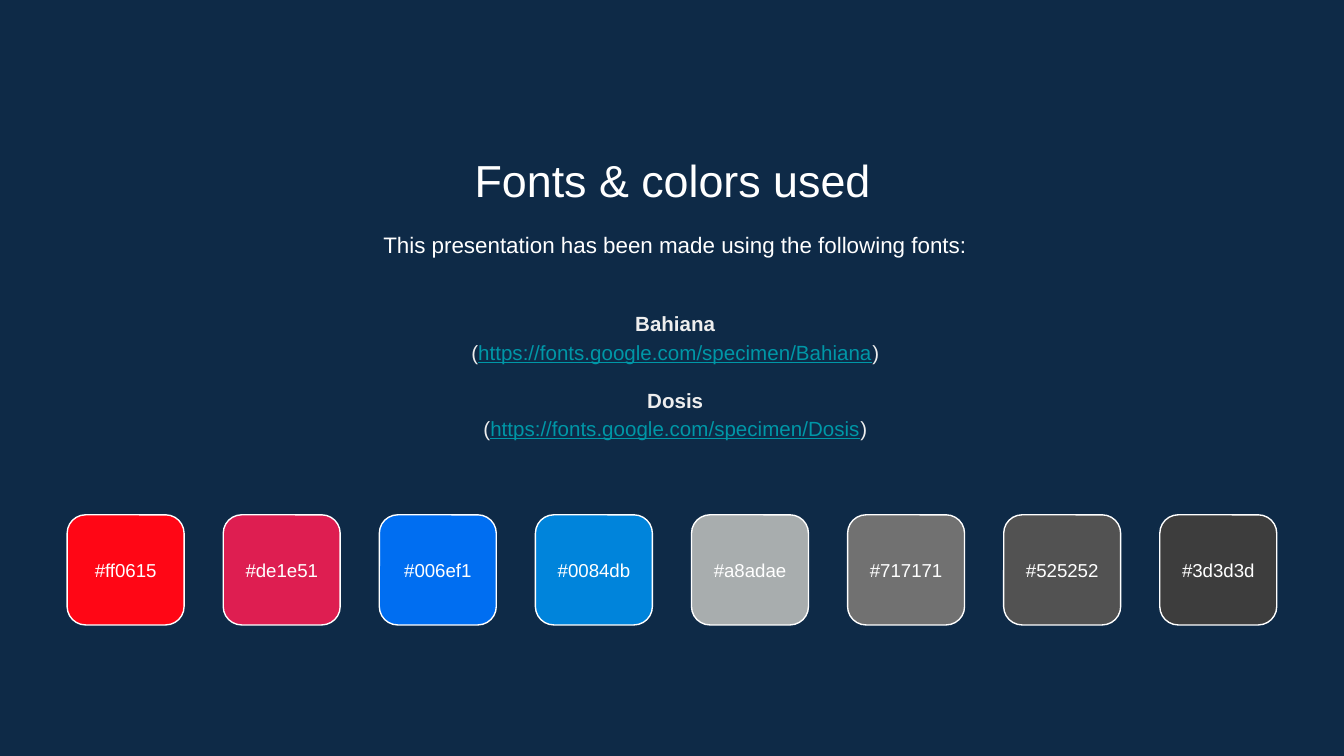
from dataclasses import dataclass

import pptx
import pptx.dml.color
import pptx.enum.shapes
import pptx.enum.text
import pptx.util

Pt = pptx.util.Pt
ANCHOR = pptx.enum.text.MSO_ANCHOR

SLIDE_WIDTH, SLIDE_HEIGHT = 720, 405
FONT = "Arial"
NAVY, WHITE, PALE, TEAL = "0E2A47", "FFFFFF", "EEEEEE", "0097A7"

# Swatch row: equal gaps between the side margins
SWATCHES = ["ff0615", "de1e51", "006ef1", "0084db",
            "a8adae", "717171", "525252", "3d3d3d"]
MARGIN = 36
SWATCH_WIDTH, SWATCH_HEIGHT, SWATCH_TOP = 62.64, 59, 275.8
LABEL_HEIGHT = 34.56
PITCH = (SLIDE_WIDTH - 2 * MARGIN - SWATCH_WIDTH) / (len(SWATCHES) - 1)


@dataclass
class Span:
    text: str
    size: float
    color: str = WHITE
    bold: bool = False
    underline: bool = False


@dataclass
class Line:
    spans: list[Span]
    spacing: float = 1.0
    before: float = 0


@dataclass
class Area:
    left: float
    top: float
    width: float
    height: float

    def lengths(self) -> list[pptx.util.Length]:
        return [Pt(value) for value in (self.left, self.top, self.width, self.height)]


def rgb(color: str) -> pptx.dml.color.RGBColor:
    return pptx.dml.color.RGBColor.from_string(color.upper())


def add_text(page, area: Area, lines: list[Line], anchor=ANCHOR.TOP) -> None:
    frame = page.shapes.add_textbox(*area.lengths()).text_frame
    frame.word_wrap = True
    frame.vertical_anchor = anchor
    frame.margin_left = frame.margin_right = Pt(7.2)
    frame.margin_top = frame.margin_bottom = Pt(7.2)
    for index, line in enumerate(lines):
        para = frame.add_paragraph() if index else frame.paragraphs[0]
        para.alignment = pptx.enum.text.PP_ALIGN.CENTER
        para.line_spacing = line.spacing
        para.space_before = Pt(line.before)
        for span in line.spans:
            run = para.add_run()
            run.text = span.text
            run.font.name = FONT
            run.font.size = Pt(span.size)
            run.font.bold = span.bold
            run.font.underline = span.underline
            run.font.color.rgb = rgb(span.color)


def font_lines(name: str, before: float = 0) -> list[Line]:
    address = f"https://fonts.google.com/specimen/{name}"
    return [
        Line([Span(name, 11, PALE, bold=True)], 1.15, before),
        Line([Span("(", 11, PALE), Span(address, 11, TEAL, underline=True),
              Span(")", 11, PALE)], 1.15),
    ]


def add_swatch(page, left: float, color: str) -> None:
    area = Area(left, SWATCH_TOP, SWATCH_WIDTH, SWATCH_HEIGHT)
    box = page.shapes.add_shape(
        pptx.enum.shapes.MSO_SHAPE.ROUNDED_RECTANGLE, *area.lengths())
    box.shadow.inherit = False
    box.adjustments[0] = 0.167
    box.fill.solid()
    box.fill.fore_color.rgb = rgb(color)
    box.line.color.rgb = rgb(WHITE)
    box.line.width = Pt(0.75)

    label_top = SWATCH_TOP + (SWATCH_HEIGHT - LABEL_HEIGHT) / 2
    add_text(page, Area(left, label_top, SWATCH_WIDTH, LABEL_HEIGHT),
             [Line([Span(f"#{color}", 10)])], ANCHOR.MIDDLE)


def main() -> None:
    deck = pptx.Presentation()
    deck.slide_width, deck.slide_height = Pt(SLIDE_WIDTH), Pt(SLIDE_HEIGHT)
    page = deck.slides.add_slide(deck.slide_layouts[6])
    page.background.fill.solid()
    page.background.fill.fore_color.rgb = rgb(NAVY)

    # Title and introduction
    add_text(page, Area(82.8, 74.9, 555, 38.2),
             [Line([Span("Fonts & colors used", 24)])])
    introduction = "This presentation has been made using the following fonts:"
    add_text(page, Area(84.24, 114.5, 555, 34.56),
             [Line([Span(introduction, 12)], 1.15)])

    # Fonts with their addresses
    add_text(page, Area(84.24, 151.2, 555, 98.6),
             font_lines("Bahiana") + font_lines("Dosis", before=10.6), ANCHOR.MIDDLE)

    # Colour swatches
    for index, color in enumerate(SWATCHES):
        add_swatch(page, MARGIN + index * PITCH, color)

    deck.save("out.pptx")


if __name__ == "__main__":
    main()
